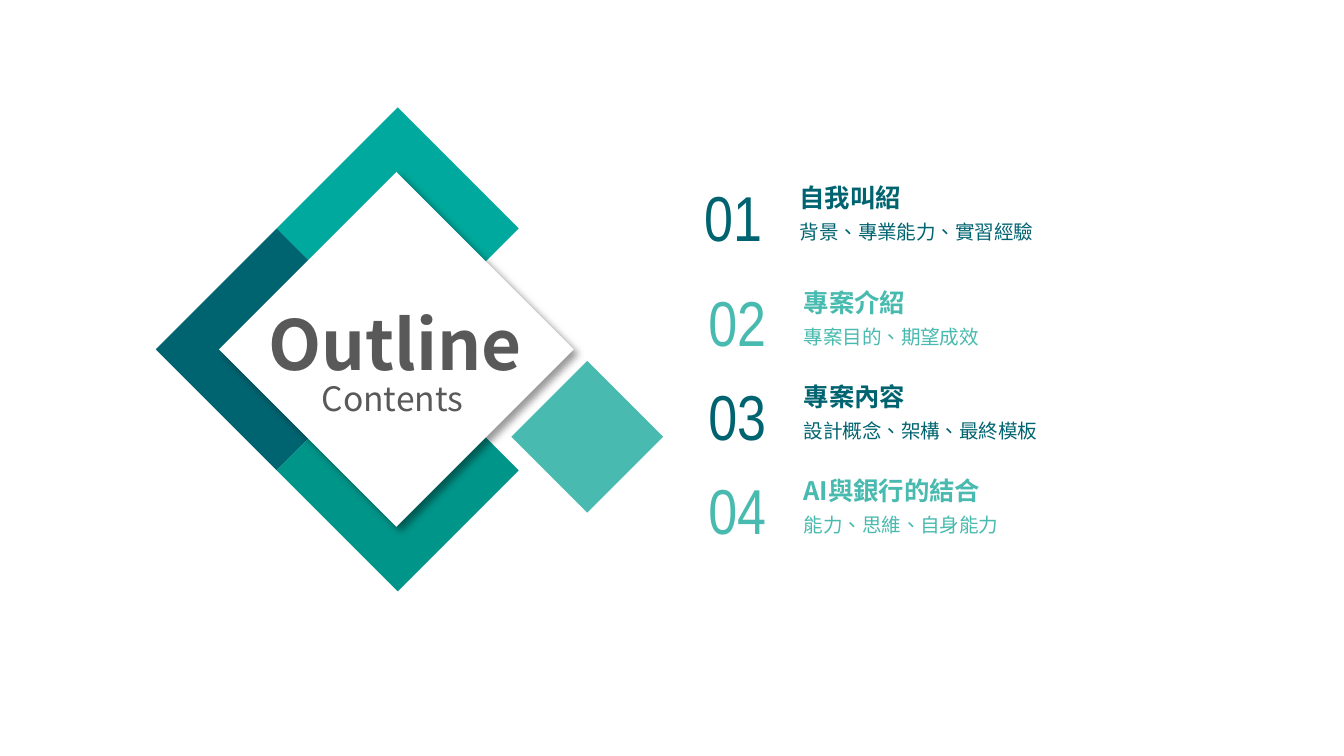
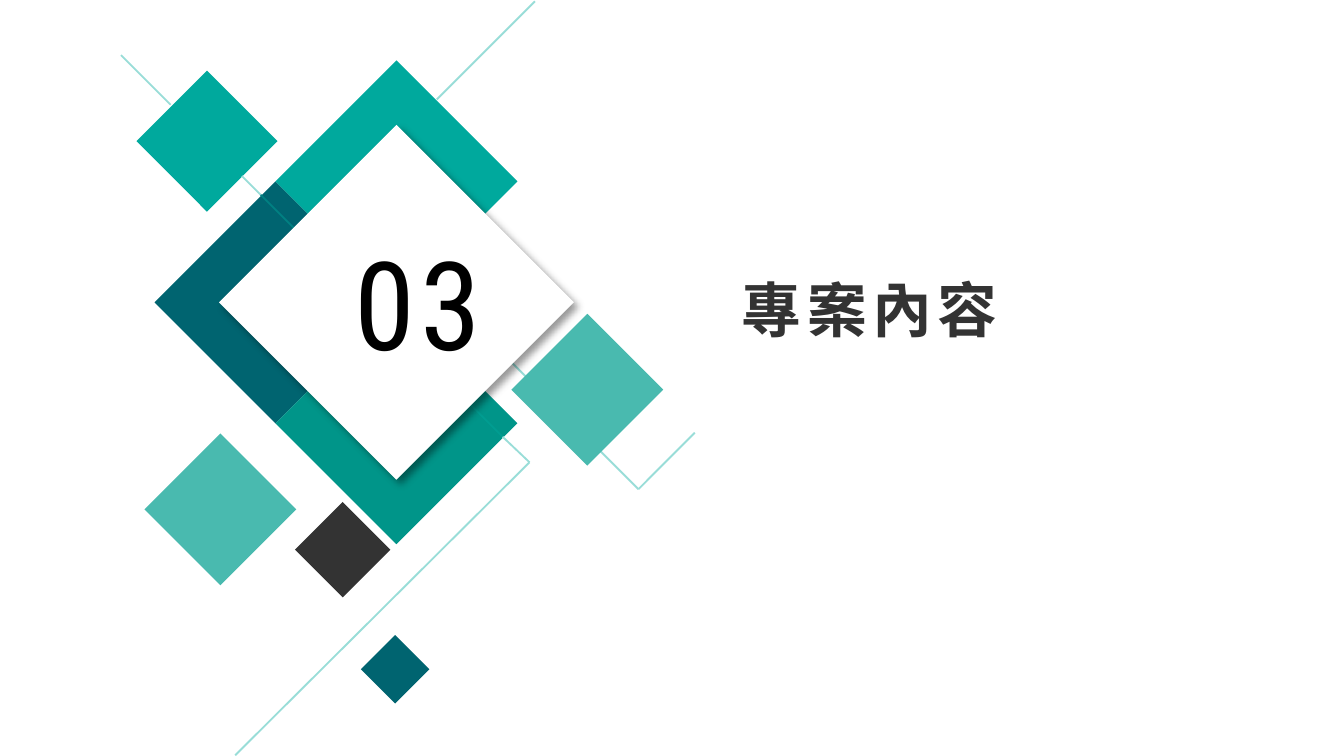
from dataclasses import dataclass
from itertools import cycle, pairwise

from lxml import etree
from pptx import Presentation
from pptx import util as u
from pptx.dml.color import RGBColor
from pptx.enum import shapes, text
from pptx.oxml.ns import qn


@dataclass(frozen=True)
class Theme:
    navy: str = "006470"
    teal: str = "00A99D"
    green: str = "009589"
    mint: str = "49BAAF"
    pale: str = "99DDD8"
    dusk: str = "008082"
    leaf: str = "009D91"
    dark: str = "333333"
    gray: str = "595959"
    white: str = "FFFFFF"
    black: str = "000000"
    sans: str = "Noto Sans CJK SC"
    slim: str = "Arial Narrow"
    tall: str = "Roboto Condensed"
    number: float = 34
    head: float = 13.6
    note: float = 10.5
    outline: float = 37
    sub: float = 18
    title: float = 32
    chapter: float = 66
    thread: float = 1


T = Theme()
LEFT, CENTER = text.PP_ALIGN.LEFT, text.PP_ALIGN.CENTER
TOP, MIDDLE, BOTTOM = (text.MSO_ANCHOR.TOP, text.MSO_ANCHOR.MIDDLE,
                       text.MSO_ANCHOR.BOTTOM)
INSETS = (0.1, 0.05, 0.1, 0.05)
INDENT = (0.39, 0, 0, 0)


def rgb(code):
    return RGBColor.from_string(code)


def assign(target, values):
    for name, value in values.items():
        setattr(target, name, value)


def write(shape, words, size, color, face=T.sans, bold=False, align=LEFT,
          anchor=TOP, insets=INSETS, wrap=True, grow=False, lead=None, track=0):
    """Fill a shape with one styled paragraph; track is letter spacing in points."""
    frame = shape.text_frame
    sides = ("margin_left", "margin_top", "margin_right", "margin_bottom")
    assign(frame, dict(zip(sides, map(u.Inches, insets))))
    fit = text.MSO_AUTO_SIZE
    assign(frame, {
        "word_wrap": wrap,
        "vertical_anchor": anchor,
        "auto_size": fit.SHAPE_TO_FIT_TEXT if grow else fit.NONE,
    })
    para = frame.paragraphs[0]
    assign(para, {"alignment": align, "line_spacing": lead})
    run = para.add_run()
    run.text = words
    assign(run.font, {"name": face, "size": u.Pt(size), "bold": bold})
    run.font.color.rgb = rgb(color)
    props = run._r.get_or_add_rPr()
    props.set("lang", "zh-TW")
    etree.SubElement(props, qn("a:ea"), typeface=face)
    if track:
        props.set("spc", str(track * 100))


def label(slide, box, words, size, color, **style):
    shape = slide.shapes.add_textbox(*map(u.Inches, box))
    write(shape, words, size, color, **style)


def title(slide, box, words, size, color, **style):
    """Place the title in front of everything drawn so far."""
    shape = slide.shapes.title
    names = ("left", "top", "width", "height")
    assign(shape, dict(zip(names, map(u.Inches, box))))
    write(shape, words, size, color, bold=True, **style)
    shape.element.getparent().append(shape.element)


def diamond(slide, x, y, size, color):
    """Draw a diamond centred on x, y."""
    box = (x - size / 2, y - size / 2, size, size)
    shape = slide.shapes.add_shape(shapes.MSO_SHAPE.DIAMOND, *map(u.Inches, box))
    shape.shadow.inherit = False
    shape.fill.solid()
    shape.fill.fore_color.rgb = rgb(color)
    shape.line.fill.background()
    return shape


def thread(slide, color, *points):
    for start, end in pairwise(points):
        line = slide.shapes.add_connector(
            shapes.MSO_CONNECTOR.STRAIGHT, *map(u.Inches, start + end))
        line.line.color.rgb = rgb(color)
        line.line.width = u.Pt(T.thread)
        etree.SubElement(line._element.spPr, qn("a:effectLst"))


def bands(slide, x, y):
    for dx, dy, color in ((-0.9, 0, T.navy), (0, -0.9, T.teal), (0, 0.9, T.green)):
        diamond(slide, x + dx, y + dy, 1.8, color)


def card(slide, x, y):
    """Draw the white centre with its soft shadow, and the mint diamond beside it."""
    face = diamond(slide, x, y, 2.64, T.white)
    effects = face._element.spPr.find(qn("a:effectLst"))
    shade = etree.SubElement(
        effects, qn("a:outerShdw"), blurRad=str(u.Pt(4)), dist=str(u.Pt(3)),
        dir=str(45 * 60000), algn="tl", rotWithShape="0")
    tint = etree.SubElement(shade, qn("a:srgbClr"), val=T.black)
    etree.SubElement(tint, qn("a:alpha"), val="40000")
    diamond(slide, x + 1.42, y + 0.65, 1.13, T.mint)


def entry(slide, left, top, number, head, note, color):
    label(slide, (left - 0.4, top, 0.59, 0.58), number, T.number, color,
          face=T.slim, align=CENTER, anchor=MIDDLE, wrap=False)
    label(slide, (left, top + 0.06, 3.25, 0.2), head, T.head, color,
          bold=True, anchor=BOTTOM, insets=INDENT, wrap=False)
    label(slide, (left, top + 0.26, 3.25, 0.26), note, T.note, color,
          anchor=MIDDLE, insets=INDENT, lead=1.2)


def agenda(slide):
    bands(slide, 2.96, 2.6)
    card(slide, 2.95, 2.6)
    items = (
        (5.56, 1.32, "自我叫紹", "背景、專業能力、實習經驗"),
        (5.59, 2.1, "專案介紹", "專案目的、期望成效"),
        (5.59, 2.8, "專案內容", "設計概念、架構、最終模板"),
        (5.59, 3.5, "AI與銀行的結合", "能力、思維、自身能力"),
    )
    colors = cycle((T.navy, T.mint))
    for index, (left, top, head, note) in enumerate(items, 1):
        entry(slide, left, top, f"{index:02}", head, note, next(colors))
    label(slide, (1.86, 2.69, 2.12, 0.42), "Contents", T.sub, T.gray,
          align=CENTER, anchor=BOTTOM, insets=(0, 0, 0, 0))
    title(slide, (1.88, 2.19, 2.12, 0.76), "Outline", T.outline, T.gray,
          align=CENTER)


def chapter(slide):
    bands(slide, 2.95, 2.25)
    diamond(slide, 1.54, 1.05, 1.05, T.teal)
    diamond(slide, 2.55, 4.09, 0.71, T.dark)
    thread(slide, T.pale, (3.98, 0.01), (3.25, 0.74))
    thread(slide, T.pale, (3.15, 2.04), (4.75, 3.64), (5.17, 3.22))
    thread(slide, T.pale, (0.9, 0.41), (1.27, 0.78))
    thread(slide, T.pale, (1.8, 1.31), (1.94, 1.45))
    thread(slide, T.dusk, (1.94, 1.45), (2.84, 2.35))
    thread(slide, T.leaf, (2.84, 2.35), (3.74, 3.25))
    thread(slide, T.pale, (3.74, 3.25), (3.94, 3.44), (1.75, 5.62))
    card(slide, 2.95, 2.25)
    diamond(slide, 1.64, 3.79, 1.13, T.mint)
    diamond(slide, 2.94, 4.98, 0.51, T.navy)
    label(slide, (2.54, 1.64, 1.18, 1.21), "03", T.chapter, T.black,
          face=T.tall, grow=True, track=3)
    title(slide, (5.42, 1.98, 5.08, 0.64), "專案內容", T.title, T.dark,
          grow=True, track=3)


def main():
    deck = Presentation()
    width = u.Inches(10)
    assign(deck, {"slide_width": width, "slide_height": width * 9 // 16})
    for build in (agenda, chapter):
        build(deck.slides.add_slide(deck.slide_layouts[5]))
    deck.save("out.pptx")


if __name__ == "__main__":
    main()
